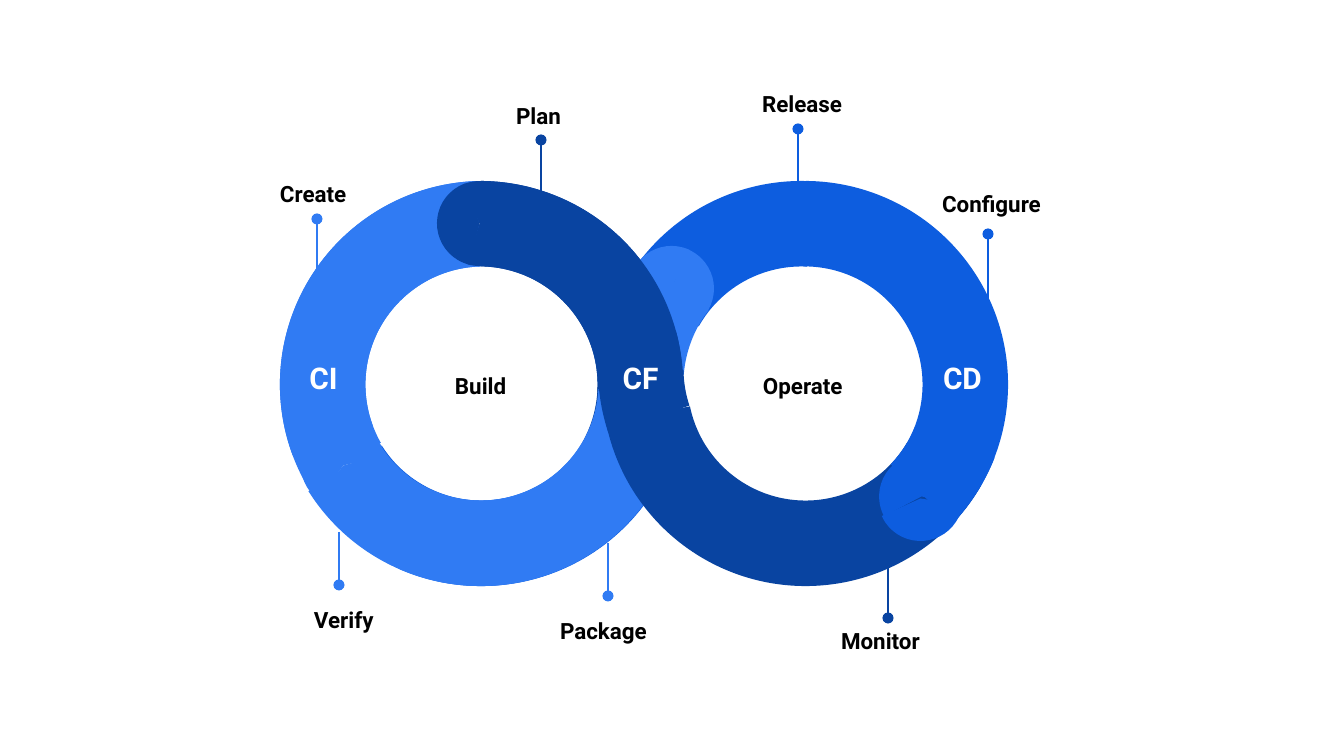
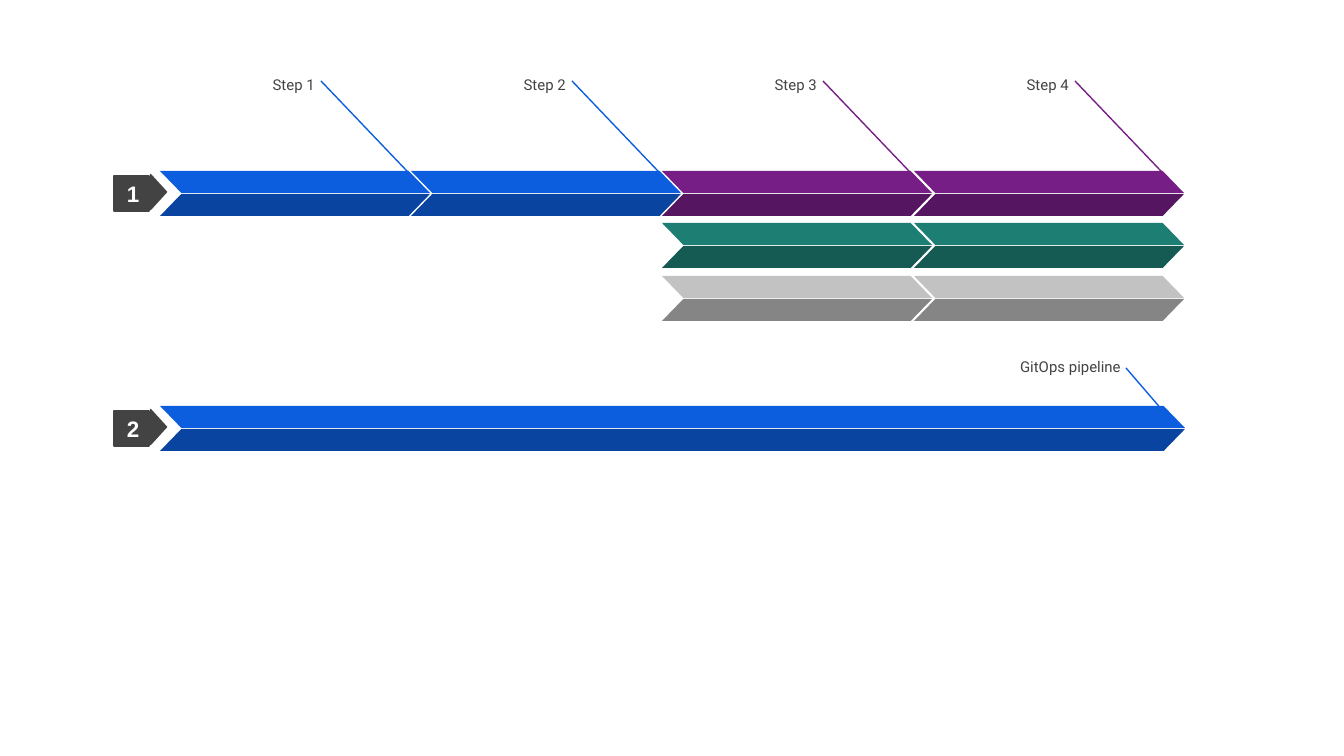
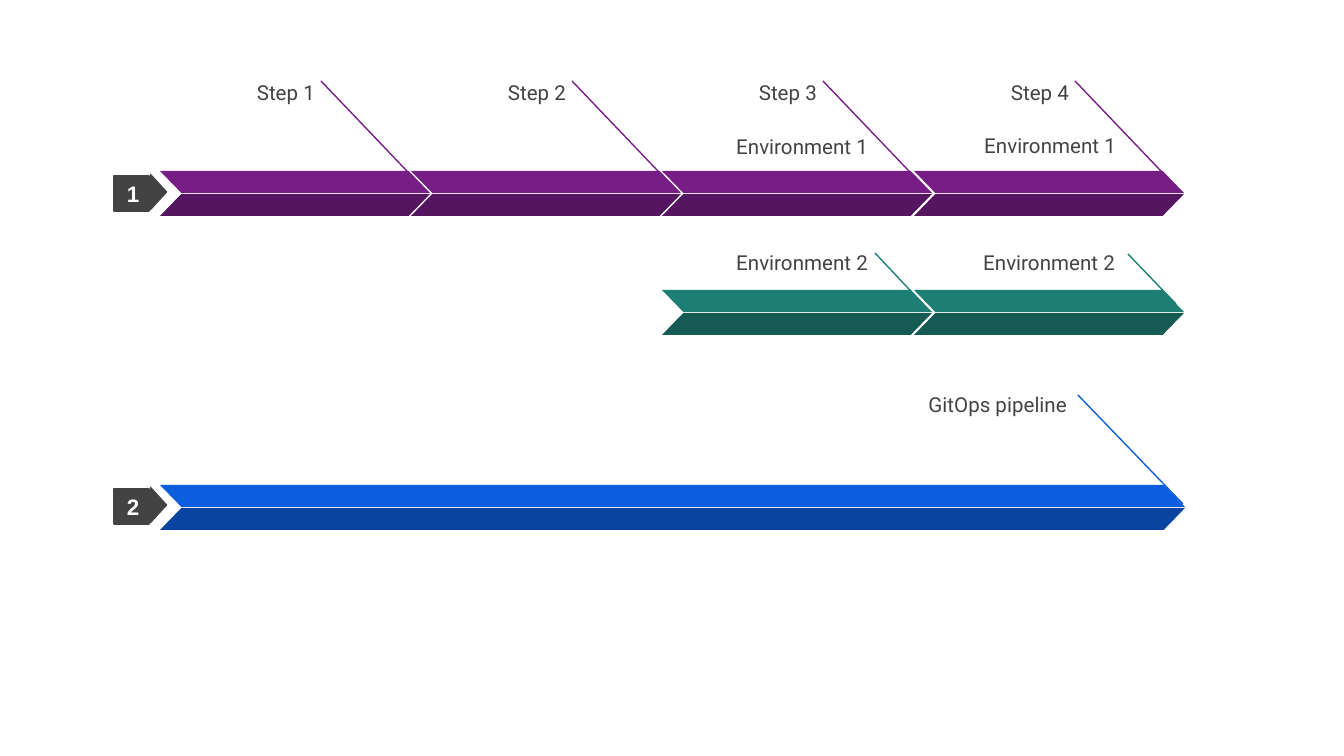
from lxml import etree
from pptx import Presentation
from pptx.dml.color import RGBColor
from pptx.enum.shapes import MSO_CONNECTOR, MSO_SHAPE
from pptx.enum.text import MSO_ANCHOR, PP_ALIGN
from pptx.oxml.ns import qn
from pptx.util import Pt

ARC, PIE = MSO_SHAPE.BLOCK_ARC, MSO_SHAPE.PIE
BAR, RECT, TRIANGLE = MSO_SHAPE.PARALLELOGRAM, MSO_SHAPE.RECTANGLE, MSO_SHAPE.ISOSCELES_TRIANGLE
STRAIGHT = MSO_CONNECTOR.STRAIGHT
LEFT, CENTER, RIGHT = PP_ALIGN.LEFT, PP_ALIGN.CENTER, PP_ALIGN.RIGHT
TOP, MIDDLE = MSO_ANCHOR.TOP, MSO_ANCHOR.MIDDLE

EMU_PER_PX = 914400 / 134.4
SLIDE_W, SLIDE_H = 1344, 756
INSET = 13

LIGHT, BLUE, NAVY = "307BF3", "0D5DDF", "0944A1"
PURPLE, PLUM = "761E86", "551561"
GREEN, PINE = "1D7E74", "155B54"
SILVER, GREY = "C2C2C2", "858585"
INK, BLACK, WHITE = "434343", "000000", "FFFFFF"

RING, CAP = 407, 85
CAP_BACK, CAP_FRONT = (61.9, 149.96), (40.28, 171.84)
LOOP = [
    (ARC, 598, 181, RING, 300, (161.69, 199.63, 0.21), BLUE),
    (ARC, 602, 181, RING, 332.3, (127.4, 147.19, 0.2), LIGHT),
    (ARC, 276, 181, RING, 60, (126.23, 197.82, 0.21), NAVY),
    (ARC, 278, 179, RING, 180, (126.23, 196.63, 0.21), BLUE),
    (ARC, 280, 181, RING, 300, (126.23, 197.03, 0.21), LIGHT),
    (PIE, 301, 423, CAP, 240.7, CAP_BACK, LIGHT),
    (PIE, 301, 423, CAP, 60, CAP_FRONT, LIGHT),
    (PIE, 579, 421, CAP, 341.6, CAP_FRONT, BLUE),
    (PIE, 629, 246, CAP, 45.6, CAP_BACK, LIGHT),
    (PIE, 629, 246, CAP, 225, CAP_FRONT, LIGHT),
    (ARC, 277, 179, RING, 180, (126.23, 196.63, 0.21), LIGHT),
    (ARC, 280, 181, RING, 300, (131.76, 197.03, 0.21), LIGHT),
    (PIE, 437, 181, CAP, 0.7, CAP_BACK, NAVY),
    (PIE, 437, 181, CAP, 180, CAP_FRONT, NAVY),
    (ARC, 601, 181, RING, 60, (126.23, 205.18, 0.21), BLUE),
    (ARC, 276, 181, RING, 60, (126.23, 182.29, 0.21), NAVY),
    (ARC, 277, 179, RING, 145.7, (130.54, 196.63, 0.21), LIGHT),
    (ARC, 602, 179, RING, 180, (126.23, 209.02, 0.21), NAVY),
    (ARC, 598, 165, RING, 210.9, (186.48, 197.03, 0.21), NAVY),
    (PIE, 878, 456, CAP, 265.7, CAP_BACK, BLUE),
    (PIE, 879, 454, CAP, 85.1, CAP_FRONT, BLUE),
    (ARC, 602, 179, RING, 164.2, (130.47, 143.8, 0.21), BLUE),
]
PINS = [
    (541, 193, 140, NAVY), (888, 566, 618, NAVY), (317, 271, 219, LIGHT),
    (339, 532, 585, LIGHT), (608, 543, 596, LIGHT), (798, 181, 129, BLUE),
    (988, 312, 234, BLUE),
]
STAGES = [
    ("Monitor", 828, 618, 121), ("Plan", 503, 93, 79), ("Create", 267, 171, 109),
    ("Verify", 301, 597, 109), ("Package", 547, 608, 132), ("Release", 749, 81, 121),
    ("Configure", 929, 181, 144), ("Build", 442, 363, 105), ("Operate", 750, 363, 109),
]
PHASES = [("CI", 288, 71), ("CF", 601, 79), ("CD", 915, 95)]

COLUMNS = [160 + i * 754 // 3 for i in range(4)]
STEP_W, FULL_W, BAR_H, BAR_PITCH = 270, 1025, 22, 23
PIPELINES = [
    {
        "size": 8,
        "step_colors": [BLUE, BLUE, PURPLE, PURPLE],
        "bands": [
            (171, COLUMNS[:2], STEP_W, BLUE, NAVY),
            (171, COLUMNS[2:], STEP_W, PURPLE, PLUM),
            (223, COLUMNS[2:], STEP_W, GREEN, PINE),
            (276, COLUMNS[2:], STEP_W, SILVER, GREY),
            (406, COLUMNS[:1], FULL_W, BLUE, NAVY),
        ],
        "tags": [("1", 176), ("2", 411)],
        "leaders": [(1126, 368, 1175, 425, BLUE)],
        "labels": [("GitOps pipeline", 786, 345, 348)],
    },
    {
        "size": 11,
        "step_colors": [PURPLE] * 4,
        "bands": [
            (171, COLUMNS, STEP_W, PURPLE, PLUM),
            (290, COLUMNS[2:], STEP_W, GREEN, PINE),
            (485, COLUMNS[:1], FULL_W, BLUE, NAVY),
        ],
        "tags": [("1", 176), ("2", 489)],
        "leaders": [
            (1078, 395, 1183, 504, BLUE),
            (1128, 254, 1176, 304, GREEN),
            (875, 253, 923, 304, GREEN),
        ],
        "labels": [
            ("GitOps pipeline", 732, 375, 348),
            ("Environment 1", 722, 117, 159), ("Environment 1", 970, 116, 159),
            ("Environment 2", 722, 233, 159), ("Environment 2", 969, 233, 159),
        ],
    },
]


def px(n):
    return round(n * EMU_PER_PX)


def rgb(color):
    return RGBColor.from_string(color)


def write(sp, text, size, color, name="Roboto", bold=False, align=LEFT, anchor=TOP, spacing=1.0):
    tf = sp.text_frame
    frame = {"word_wrap": True, "vertical_anchor": anchor}
    frame.update({f"margin_{side}": px(INSET) for side in ("left", "top", "right", "bottom")})
    for key, value in frame.items():
        setattr(tf, key, value)
    p = tf.paragraphs[0]
    p.alignment, p.line_spacing = align, spacing
    r = p.add_run()
    r.text = text
    for key, value in {"name": name, "size": Pt(size), "bold": bold}.items():
        setattr(r.font, key, value)
    r.font.color.rgb = rgb(color)


def add_text(s, text, x, y, w, h, **style):
    write(s.shapes.add_textbox(px(x), px(y), px(w), px(h)), text, **style)


def add_shape(s, kind, x, y, w, h, fill, rotation=0, adjustments=(), outline=False):
    sp = s.shapes.add_shape(kind, px(x), px(y), px(w), px(h))
    sp.shadow.inherit = False
    sp.rotation = rotation
    for i, value in enumerate(adjustments):
        sp.adjustments[i] = value
    sp.fill.solid()
    sp.fill.fore_color.rgb = rgb(fill)
    if outline:
        sp.line.color.rgb = rgb(fill)
        sp.line.width = Pt(0.75)
    else:
        sp.line.fill.background()
    return sp


def add_line(s, x1, y1, x2, y2, color, dot=False):
    cx = s.shapes.add_connector(STRAIGHT, px(x1), px(y1), px(x2), px(y2))
    cx.line.color.rgb = rgb(color)
    cx.line.width = Pt(0.75)
    if dot:
        etree.SubElement(cx.line._get_or_add_ln(), qn("a:tailEnd"), type="oval")
    etree.SubElement(cx._element.spPr, qn("a:effectLst"))


def add_band(s, y, columns, w, upper, lower):
    for x in columns:
        top = add_shape(s, BAR, x, y, w, BAR_H, upper, adjustments=(0.97,))
        top._element.spPr.xfrm.set("flipH", "1")
        add_shape(s, BAR, x, y + BAR_PITCH, w, BAR_H, lower, adjustments=(0.97,))


def add_tag(s, number, y):
    add_shape(s, TRIANGLE, 141, y + 8, 35, 16, INK, rotation=90, outline=True)
    sp = add_shape(s, RECT, 114, y, 35, 35, INK, outline=True)
    write(sp, number, 12, WHITE, name="Arial", bold=True, align=CENTER, anchor=MIDDLE)


def build_loop(s):
    for kind, x, y, size, rotation, adjustments, color in LOOP:
        add_shape(s, kind, x, y, size, size, color, rotation, adjustments)
    for x, start, end, color in PINS:
        add_line(s, x, start, x, end, color, dot=True)
    for text, x, y, w in STAGES:
        add_text(s, text, x, y, w, 46, size=12, color=BLACK, bold=True, anchor=MIDDLE)
    for text, x, w in PHASES:
        add_text(s, text, x, 347, w, 64, size=16, color=WHITE, bold=True, align=CENTER)


def build_pipeline(s, content):
    steps = list(enumerate(zip(COLUMNS, content["step_colors"]), 1))
    leaders = [(x + 161, 81, x + 266, 191, color) for _, (x, color) in steps]
    labels = [(f"Step {i}", x + 77, 63, 91) for i, (x, _) in steps]
    for leader in leaders + content["leaders"]:
        add_line(s, *leader)
    for band in content["bands"]:
        add_band(s, *band)
    for tag in content["tags"]:
        add_tag(s, *tag)
    for label in labels + content["labels"]:
        add_text(s, *label, 35, size=content["size"], color=INK, align=RIGHT, spacing=1.15)


def main():
    prs = Presentation()
    prs.slide_width, prs.slide_height = px(SLIDE_W), px(SLIDE_H)
    blank = prs.slide_layouts[6]
    build_loop(prs.slides.add_slide(blank))
    for content in PIPELINES:
        build_pipeline(prs.slides.add_slide(blank), content)
    prs.save("out.pptx")


if __name__ == "__main__":
    main()
